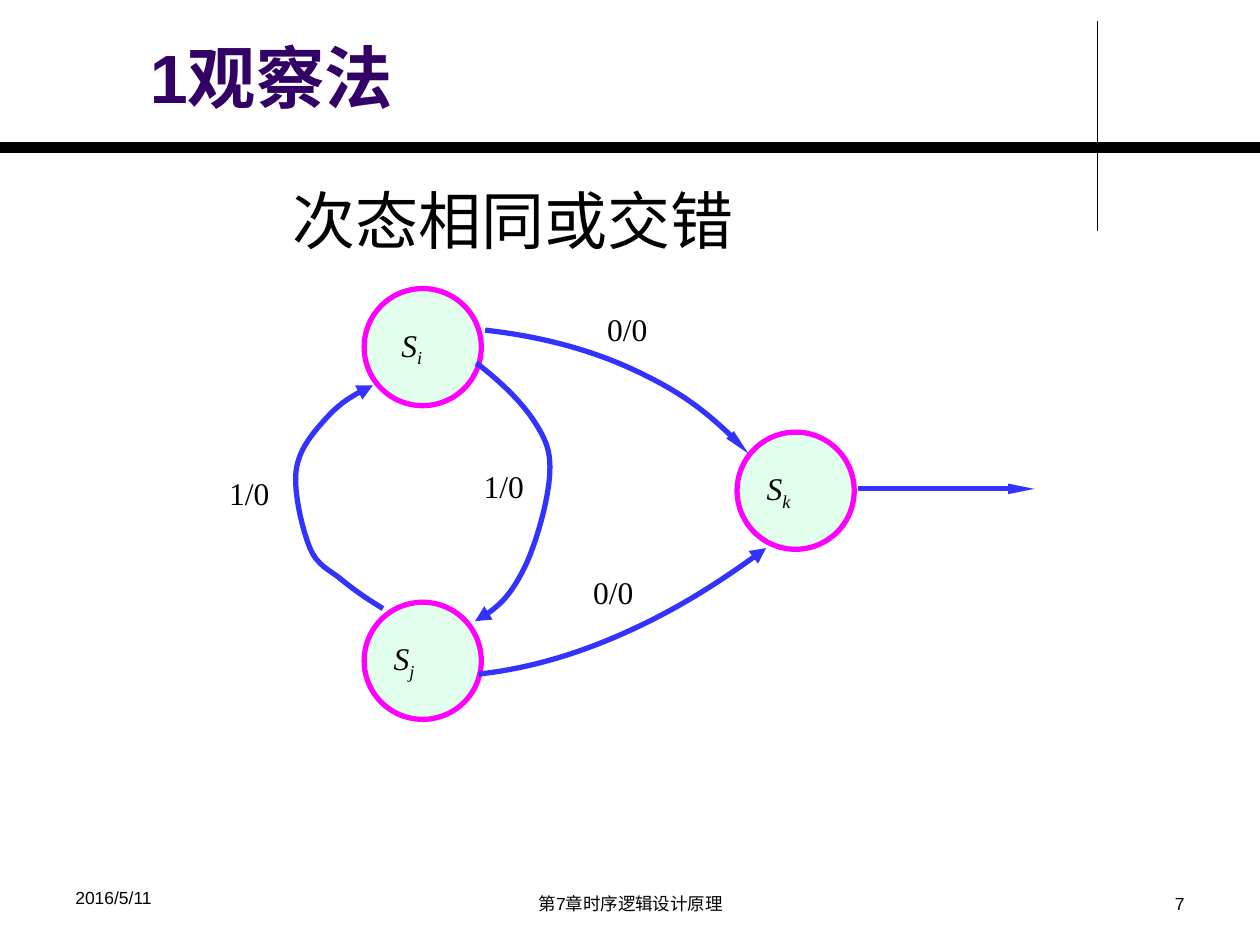
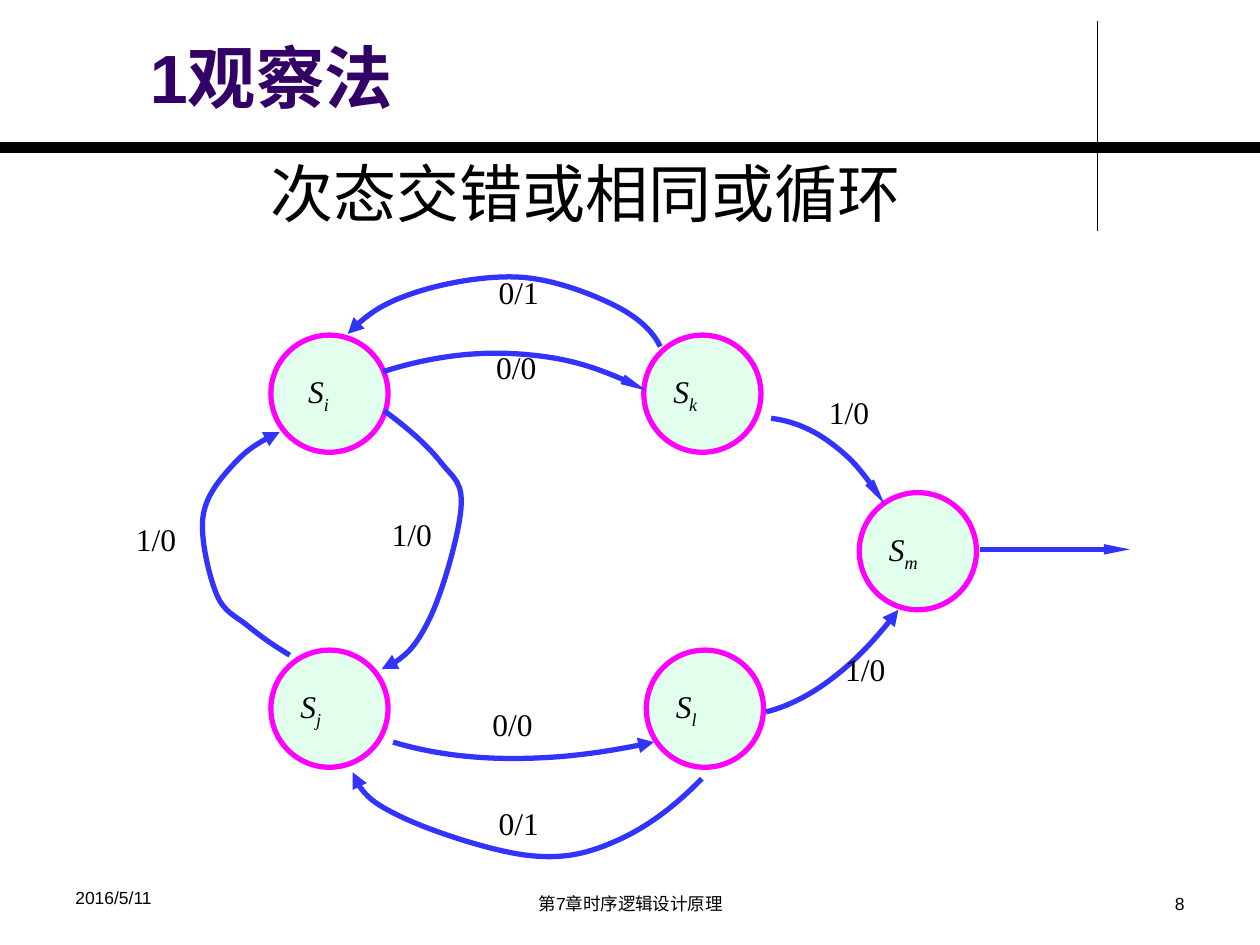
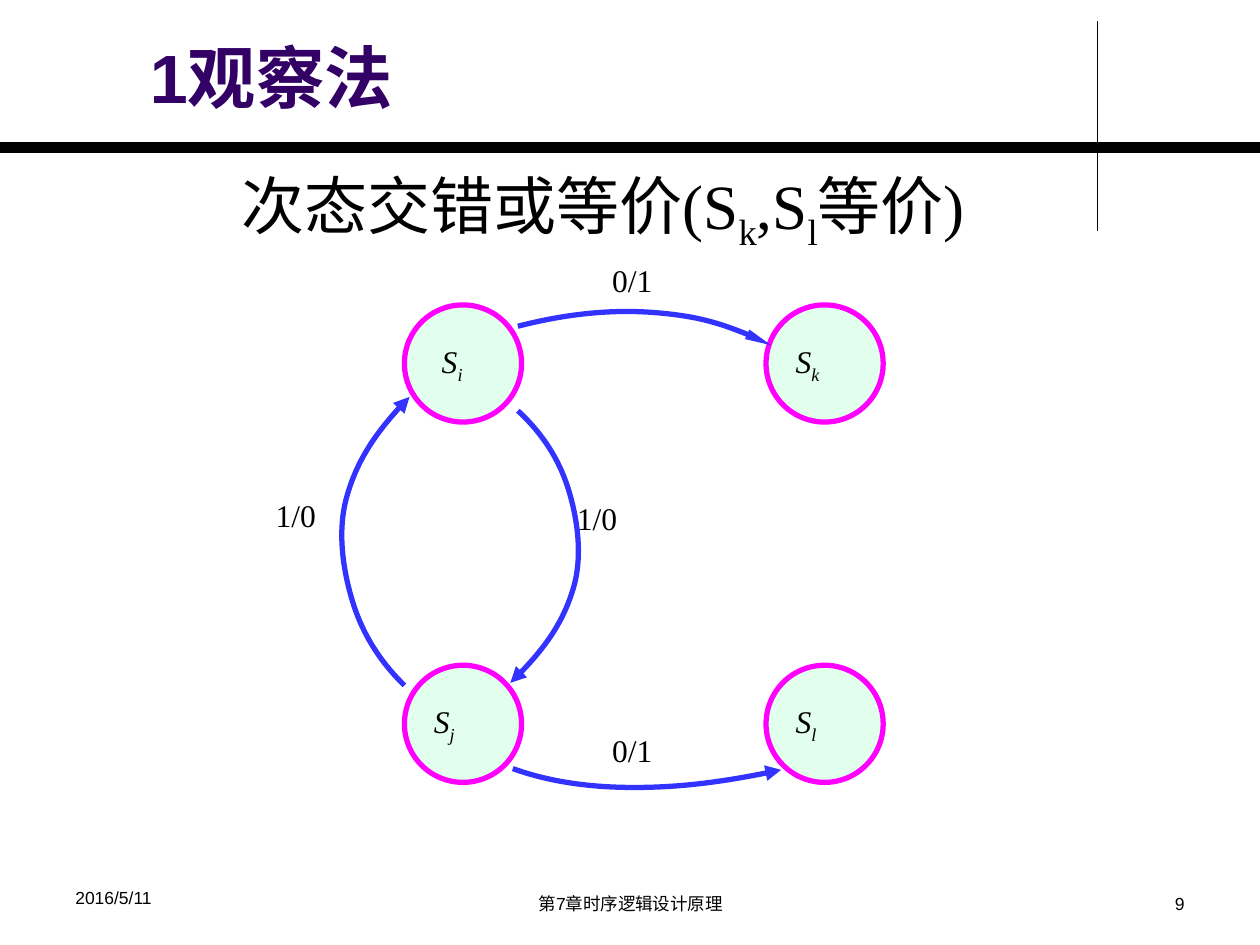
import pptx
import pptx.dml.color
import pptx.enum.shapes
import pptx.enum.text
import pptx.oxml.ns
import pptx.util
from lxml import etree

Inches = pptx.util.Inches
RGBColor = pptx.dml.color.RGBColor
ALIGN = pptx.enum.text.PP_ALIGN
STRAIGHT = pptx.enum.shapes.MSO_CONNECTOR.STRAIGHT
qn = pptx.oxml.ns.qn

BLACK = RGBColor(0x00, 0x00, 0x00)
PURPLE = RGBColor(0x33, 0x00, 0x66)
MINT = RGBColor(0xE2, 0xFE, 0xED)
MAGENTA = RGBColor(0xFF, 0x00, 0xFF)
BLUE = RGBColor(0x33, 0x33, 0xFF)
SANS = "Arial"
SERIF = "Times New Roman"
TITLE = "1观察法"
DATE = "2016/5/11"
FOOTER = "第7章时序逻辑设计原理"
FIRST_NUMBER = 7
STATE_SIZE = 0.93
MEDIUM = ("med", "med")
SLENDER = ("sm", "lg")


def return_loop(left, top):
    """Give the arrow from state j back to the state i that stands at left, top."""
    bends = [(0.15, 2.54), (-0.18, 2.31), (-0.43, 2.06), (-0.54, 1.45), (-0.31, 1.04), (0.07, 0.77)]
    return ("1/0", left - 1.17, top + 1.42, MEDIUM, [(left + x, top + y) for x, y in bends])


# Arrows: label, its left and top, arrowhead, points that the curve runs through.
# Exit: the state it leaves and its length.
diagrams = [
    {
        "heading": ("次态相同或交错", 2.22, 1.39, 3.74),
        "states": {" S_i": (2.89, 2.29), "S_j": (2.89, 4.78), "S_k": (5.85, 3.43)},
        "arrows": [
            return_loop(2.89, 2.29),
            ("0/0", 4.61, 4.5, MEDIUM, [(3.8, 5.35), (4.92, 5.04), (6.08, 4.35)]),
            ("1/0", 3.74, 3.66, MEDIUM,
             [(3.78, 2.88), (4.25, 3.36), (4.36, 3.8), (4.15, 4.53), (3.77, 4.93)]),
            ("0/0", 4.72, 2.41, SLENDER, [(3.85, 2.62), (5.04, 2.94), (5.94, 3.6)]),
        ],
        "exit": ("S_k", 1.4),
    },
    {
        "heading": ("次态交错或相同或循环", 2.05, 1.18, 5.25),
        "states": {" S_i": (2.15, 2.66), "S_j": (2.15, 5.16), "S_k": (5.11, 2.66),
                   "S_l": (5.13, 5.16), "S_m": (6.82, 3.91)},
        "arrows": [
            return_loop(2.15, 2.66),
            ("1/0", 3.01, 4.04, MEDIUM,
             [(3.05, 3.26), (3.5, 3.67), (3.66, 4.03), (3.41, 4.91), (3.03, 5.31)]),
            ("0/0", 3.84, 2.71, SLENDER, [(3.04, 2.95), (4.12, 2.81), (5.13, 3.1)]),
            ("0/0", 3.81, 5.55, MEDIUM, [(3.12, 5.89), (4.07, 6.02), (5.19, 5.89)]),
            ("0/1", 3.86, 2.12, MEDIUM,
             [(5.24, 2.75), (4.87, 2.42), (4.13, 2.2), (3.3, 2.32), (2.76, 2.65)]),
            ("0/1", 3.86, 6.33, MEDIUM,
             [(5.57, 6.18), (4.9, 6.67), (4.2, 6.79), (3.2, 6.49), (2.8, 6.13)]),
            ("1/0", 6.61, 5.11, MEDIUM, [(6.08, 5.65), (6.61, 5.38), (7.13, 4.84)]),
            ("1/0", 6.48, 3.07, SLENDER, [(6.12, 3.32), (6.6, 3.52), (7.02, 4)]),
        ],
        "exit": ("S_m", 1.19),
    },
    {
        "heading": ("次态交错或等价(S_k_,S_l_等价)", 1.82, 1.27, 6.03),
        "states": {" S_i": (3.21, 2.42), "S_j": (3.21, 5.28), "S_l": (6.08, 5.28),
                   "S_k": (6.08, 2.42)},
        "arrows": [
            ("1/0", 4.48, 3.91, MEDIUM, [(4.11, 3.26), (4.51, 3.88), (4.55, 4.67), (4.05, 5.42)]),
            ("1/0", 2.09, 3.89, MEDIUM, [(3.21, 5.44), (2.8, 4.78), (2.75, 3.95), (3.25, 3.15)]),
            ("0/1", 4.76, 2.02, SLENDER, [(4.11, 2.59), (5.18, 2.48), (6.12, 2.74)]),
            ("0/1", 4.76, 5.75, MEDIUM, [(4.07, 6.1), (5.01, 6.25), (6.2, 6.11)]),
        ],
        "exit": None,
    },
]


def write_text(shape, text, size, font, color=BLACK, align=ALIGN.LEFT, bold=False, italic=False):
    """Fill a shape with one paragraph; every second part between underscores is a subscript."""
    frame = shape.text_frame
    frame.word_wrap = True
    para = frame.paragraphs[0]
    para.alignment = align
    for index, part in enumerate(text.split("_")):
        span = para.add_run()
        span.text = part
        span.font.size = pptx.util.Pt(size)
        span.font.name = font
        span.font.color.rgb = color
        span.font.bold = bold
        span.font.italic = italic
        if index % 2:
            span.font._element.set("baseline", "-25000")


def style_line(shape, color, width, head=None):
    """Set a plain line without shadow; head is the arrowhead's (width, length)."""
    shape.line.color.rgb = color
    shape.line.width = pptx.util.Pt(width)
    properties = shape.element.spPr
    if head:
        etree.SubElement(properties.find(qn("a:ln")), qn("a:tailEnd"),
                         type="triangle", w=head[0], len=head[1])
    etree.SubElement(properties, qn("a:effectLst"))


deck = pptx.Presentation()
deck.slide_width = Inches(10)
deck.slide_height = Inches(7.5)

for number, diagram in enumerate(diagrams, FIRST_NUMBER):
    page = deck.slides.add_slide(deck.slide_layouts[5])
    shapes = page.shapes

    title = shapes.title
    title.left, title.top = Inches(1.09), Inches(0.2)
    title.width, title.height = Inches(7.55), Inches(0.81)
    title.text_frame.auto_size = pptx.enum.text.MSO_AUTO_SIZE.NONE
    title.text_frame.vertical_anchor = pptx.enum.text.MSO_ANCHOR.MIDDLE
    write_text(title, TITLE, 39, SANS, PURPLE, bold=True)

    for ends, width in [((8.71, 0.17, 8.71, 1.83), 0.75), ((0, 1.17, 10, 1.17), 6)]:
        rule = shapes.add_connector(STRAIGHT, *map(Inches, ends))
        style_line(rule, BLACK, width)

    for text, area, align in [
        (DATE, (0.5, 6.99, 2.33, 0.34), ALIGN.LEFT),
        (FOOTER, (3.42, 7.04, 3.17, 0.29), ALIGN.CENTER),
        (str(number), (7.17, 7.04, 2.33, 0.29), ALIGN.RIGHT),
    ]:
        box = shapes.add_textbox(*map(Inches, area))
        write_text(box, text, 10, SANS, align=align)

    text, left, top, width = diagram["heading"]
    box = shapes.add_textbox(Inches(left), Inches(top), Inches(width), Inches(0.71))
    write_text(box, text, 36, SERIF)

    for text, (left, top) in diagram["states"].items():
        state = shapes.add_shape(pptx.enum.shapes.MSO_SHAPE.OVAL, Inches(left), Inches(top),
                                 Inches(STATE_SIZE), Inches(STATE_SIZE))
        state.fill.solid()
        state.fill.fore_color.rgb = MINT
        style_line(state, MAGENTA, 3)
        state.text_frame.vertical_anchor = pptx.enum.text.MSO_ANCHOR.MIDDLE
        write_text(state, text, 18, SERIF, italic=True)

    for text, left, top, head, points in diagram["arrows"]:
        # Inner slopes follow the neighbouring points; the end slopes make the end pieces parabolas.
        slopes = [[(after[axis] - before[axis]) / 2 for axis in (0, 1)]
                  for before, after in zip(points, points[2:])]
        first = [2 * (points[1][axis] - points[0][axis]) - slopes[0][axis] for axis in (0, 1)]
        last = [2 * (points[-1][axis] - points[-2][axis]) - slopes[-1][axis] for axis in (0, 1)]
        slopes = [first, *slopes, last]
        vertices = []
        for index in range(len(points) - 1):
            start, end = points[index:index + 2]
            leave, arrive = slopes[index:index + 2]
            vertices.append([Inches(start[axis] + leave[axis] / 3) for axis in (0, 1)])
            vertices.append([Inches(end[axis] - arrive[axis] / 3) for axis in (0, 1)])
            vertices.append([Inches(end[axis]) for axis in (0, 1)])

        builder = shapes.build_freeform(*map(Inches, points[0]))
        builder.add_line_segments(vertices, close=False)
        arrow = builder.convert_to_shape()
        arrow.fill.background()
        style_line(arrow, BLUE, 3, head)
        # Merge each three straight segments into one Bezier segment.
        outline = arrow.element.spPr.find(".//" + qn("a:path"))
        segments = outline.findall(qn("a:lnTo"))
        for index in range(0, len(segments), 3):
            curve = etree.SubElement(outline, qn("a:cubicBezTo"))
            for segment in segments[index:index + 3]:
                curve.append(segment[0])
                outline.remove(segment)

        box = shapes.add_textbox(Inches(left), Inches(top), Inches(0.7), Inches(0.57))
        write_text(box, text, 18, SERIF)

    if diagram["exit"]:
        name, length = diagram["exit"]
        left, top = diagram["states"][name]
        start, level = left + STATE_SIZE + 0.03, Inches(top + 0.45)
        arrow = shapes.add_connector(STRAIGHT, Inches(start), level, Inches(start + length), level)
        style_line(arrow, BLUE, 3, SLENDER)

deck.save("out.pptx")
